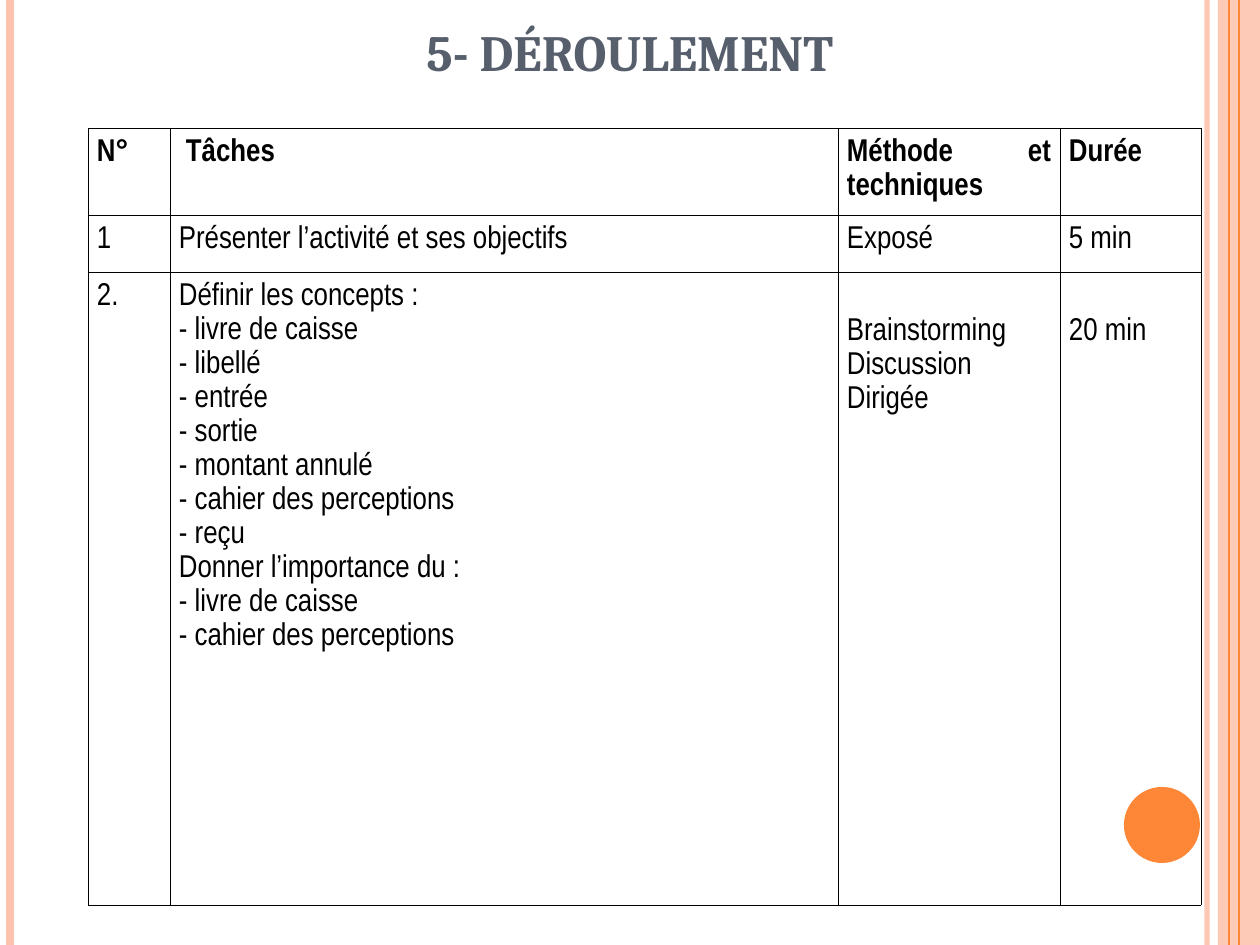
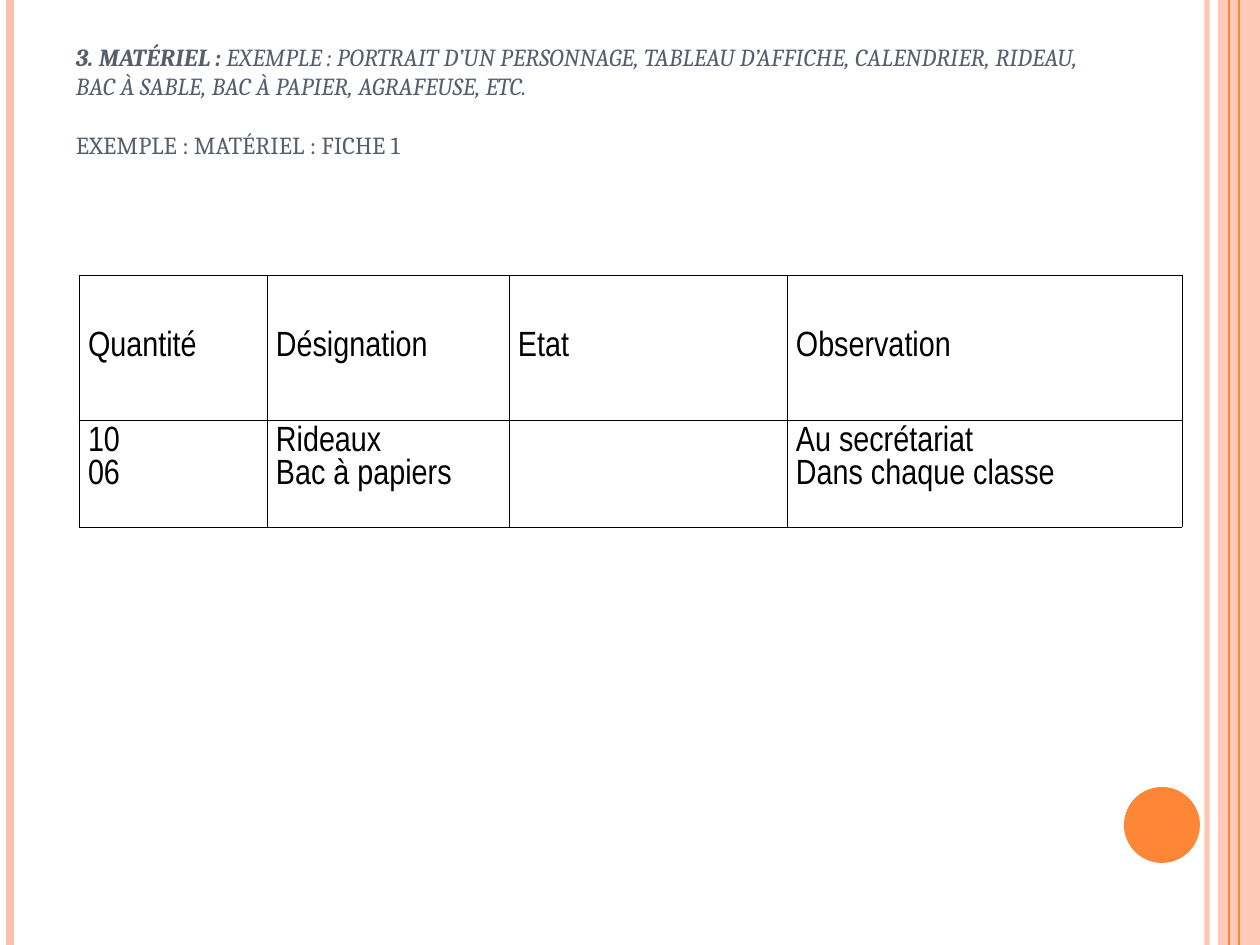
from pptx import Presentation
from pptx.dml.color import RGBColor
from pptx.enum.shapes import MSO_CONNECTOR, MSO_SHAPE
from pptx.enum.text import MSO_ANCHOR, MSO_AUTO_SIZE, PP_ALIGN
from pptx.oxml import parse_xml
from pptx.oxml.ns import nsdecls, qn
from pptx.oxml.xmlchemy import OxmlElement
from pptx.util import Pt

PX_PER_INCH = 126
PAGE_WIDTH, PAGE_HEIGHT = 1260, 945
ORANGE, PEACH, SLATE, BLACK = "FE8637", "FEC3AE", "575F6D", "000000"
TITLE_FONT, TABLE_FONT = "Cambria", "Arial Narrow"
# x, colour, width in points, opacity in percent
VERTICAL_RULES = [
    (1207, PEACH, 3, 93),
    (10, PEACH, 4.5, 100),
    (1239, ORANGE, 1.5, 100),
    (1229, ORANGE, 0.75, 100),
]
CELL_MARGINS = {"margin_left": 9, "margin_right": 9, "margin_top": 6, "margin_bottom": 6}


def px(length):
    return round(length * 914400 / PX_PER_INCH)


def rgb(hex_string):
    return RGBColor.from_string(hex_string)


def set_format(target, values):
    for name, value in values.items():
        setattr(target, name, value)


def set_opacity(shape, percent):
    for colour in shape.element.spPr.iter(qn("a:srgbClr")):
        alpha = OxmlElement("a:alpha")
        alpha.set("val", str(percent * 1000))
        colour.append(alpha)


def add_span(para, text, colour, **font_values):
    span = para.add_run()
    span.text = text
    set_format(span.font, font_values)
    span.font.color.rgb = rgb(colour)


def add_rule(page, x, colour, width, opacity):
    rule = page.shapes.add_connector(MSO_CONNECTOR.STRAIGHT, px(x), 0, px(x), px(PAGE_HEIGHT))
    rule.line.color.rgb = rgb(colour)
    rule.line.width = Pt(width)
    rule.element.spPr.append(OxmlElement("a:effectLst"))
    if opacity < 100:
        set_opacity(rule, opacity)


def add_plain_shape(page, kind, box, colour):
    shape = page.shapes.add_shape(kind, *map(px, box))
    shape.shadow.inherit = False
    shape.fill.solid()
    shape.fill.fore_color.rgb = rgb(colour)
    shape.line.fill.background()
    return shape


def add_decorated_page(deck):
    page = deck.slides.add_slide(deck.slide_layouts[5])
    band = add_plain_shape(page, MSO_SHAPE.RECTANGLE, (1218, 0, 42, PAGE_HEIGHT), PEACH)
    set_opacity(band, 87)
    for rule in VERTICAL_RULES:
        add_rule(page, *rule)
    add_plain_shape(page, MSO_SHAPE.OVAL, (1124, 787, 76, 76), ORANGE)
    return page


def set_title(page, box, paragraphs, size, align, bottom_margin, gap=0):
    """Each paragraph is a list of (text, bold, italic); gap is in points."""
    title = page.shapes.title
    set_format(title, dict(zip(("left", "top", "width", "height"), map(px, box))))
    frame = title.text_frame
    set_format(frame, {
        "word_wrap": True, "auto_size": MSO_AUTO_SIZE.NONE,
        "vertical_anchor": MSO_ANCHOR.BOTTOM,
        "margin_left": px(13), "margin_right": px(13),
        "margin_top": 0, "margin_bottom": px(bottom_margin),
    })
    for index, spans in enumerate(paragraphs):
        para = frame.add_paragraph() if index else frame.paragraphs[0]
        para.alignment = align
        if index:
            para.space_before = Pt(gap)
        for text, bold, italic in spans:
            add_span(para, text, SLATE, name=TITLE_FONT, size=Pt(size), bold=bold, italic=italic)


def set_borders(cell):
    properties = cell._tc.get_or_add_tcPr()
    for index, side in enumerate(("lnL", "lnR", "lnT", "lnB")):
        properties.insert(index, parse_xml(
            f'<a:{side} {nsdecls("a")} w="5715"><a:solidFill>'
            f'<a:srgbClr val="{BLACK}"/></a:solidFill></a:{side}>'))


def fill_cell(cell, text, size, bold, spacing):
    cell.fill.background()
    set_borders(cell)
    set_format(cell, {name: px(value) for name, value in CELL_MARGINS.items()})
    for index, line in enumerate(text.split("\n")):
        para = cell.text_frame.add_paragraph() if index else cell.text_frame.paragraphs[0]
        set_format(para, {"alignment": PP_ALIGN.JUSTIFY, "line_spacing": spacing})
        if line:
            add_span(para, line, BLACK, name=TABLE_FONT, size=Pt(size), bold=bold)


def add_grid(page, left, top, widths, heights, rows, size, spacing=1.0, bold_header=False):
    frame = page.shapes.add_table(len(heights), len(widths), px(left), px(top),
                                  px(sum(widths)), px(sum(heights)))
    table = frame.table
    set_format(table, {"first_row": False, "horz_banding": False})
    for column, width in zip(table.columns, widths):
        column.width = px(width)
    for row, height in zip(table.rows, heights):
        row.height = px(height)
    for r, texts in enumerate(rows):
        for c, text in enumerate(texts):
            fill_cell(table.cell(r, c), text, size, bold_header and r == 0, spacing)
    return table


def build_schedule(deck):
    page = add_decorated_page(deck)
    set_title(page, (63, 38, 1134, 109), [[("5- DÉROULEMENT", True, False)]],
              29, PP_ALIGN.CENTER, 65)
    concepts = ["livre de caisse", "libellé", "entrée", "sortie", "montant annulé",
                "cahier des perceptions", "reçu"]
    tasks = ["Définir les concepts :", *(f"- {name}" for name in concepts),
             "Donner l’importance du :", "- livre de caisse", "- cahier des perceptions"]
    rows = [
        ("N°", "Tâches", "Méthode et techniques", "Durée"),
        ("1", "Présenter l’activité et ses objectifs", "Exposé", "5 min"),
        ("2.", "\n".join(tasks), "Brainstorming\nDiscussion\nDirigée", "20 min"),
    ]
    table = add_grid(page, 88, 128, (82, 668, 222, 141), (87, 57, 633), rows,
                     18, spacing=1.15, bold_header=True)
    table.cell(0, 1).margin_left = px(16)
    for column in (2, 3):
        table.cell(2, column).margin_top = px(41)


def build_equipment(deck):
    page = add_decorated_page(deck)
    examples = (" EXEMPLE : PORTRAIT D’UN PERSONNAGE, TABLEAU D’AFFICHE, CALENDRIER, "
                "RIDEAU, BAC À SABLE, BAC À PAPIER, AGRAFEUSE, ETC.")
    set_title(page, (63, 38, 1029, 157), [
        [("3. MATÉRIEL :", True, True), (examples, False, True)],
        [("EXEMPLE : MATÉRIEL : FICHE 1", False, False)],
    ], 14, PP_ALIGN.LEFT, 36, gap=16.5)
    rows = [
        ("Quantité", "Désignation", "Etat", "Observation"),
        ("10\n06", "Rideaux\nBac à papiers", "", "Au secrétariat\nDans chaque classe"),
    ]
    table = add_grid(page, 79, 275, (188, 242, 278, 395), (145, 107), rows, 20)
    for cell in table.rows[0].cells:
        cell.vertical_anchor = MSO_ANCHOR.MIDDLE


def main():
    deck = Presentation()
    set_format(deck, {"slide_width": px(PAGE_WIDTH), "slide_height": px(PAGE_HEIGHT)})
    build_schedule(deck)
    build_equipment(deck)
    deck.save("out.pptx")


if __name__ == "__main__":
    main()
